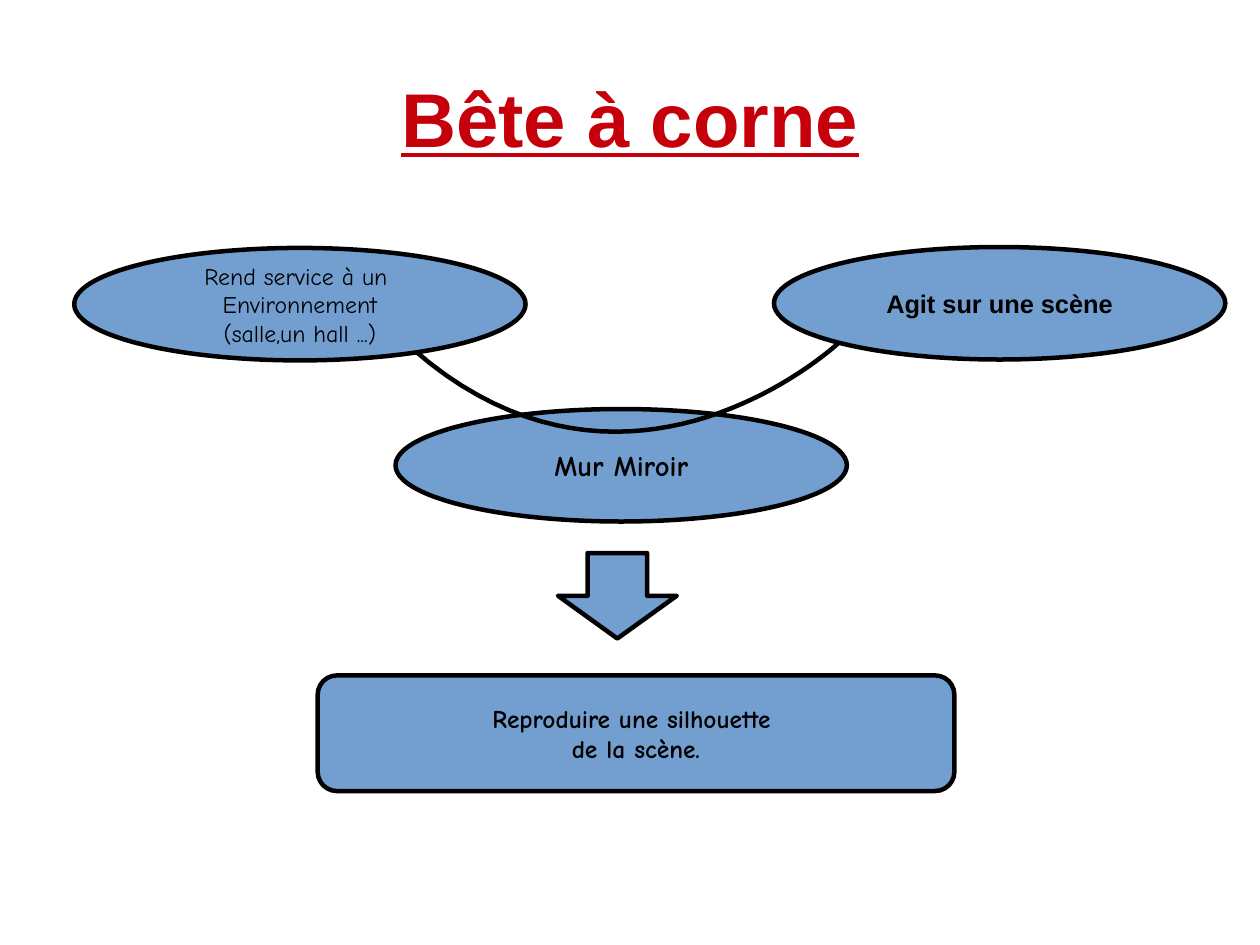
from dataclasses import dataclass

from pptx import Presentation
from pptx import util as u
from pptx.dml.color import RGBColor
from pptx.enum import shapes, text

Cm = u.Cm
Kind = shapes.MSO_SHAPE
HEX = {"title": "C5000B", "fill": "729FCF", "ink": "000000"}
STEPS = 40


@dataclass
class Node:
    kind: Kind
    box: tuple[float, float, float, float]
    lines: tuple[str, ...] = ()
    size: int = 16
    font: str = "Comic Neue"
    bold: bool = True


def shade(name: str) -> RGBColor:
    return RGBColor.from_string(HEX[name])


def write(shape, lines: tuple[str, ...], *, size: int, font: str, bold: bool = True,
          color: str = "ink", under: bool = False, wrap: bool = False,
          pad: tuple[float, float] = (0.3, 0.18)) -> None:
    frame = shape.text_frame
    frame.word_wrap = wrap
    frame.vertical_anchor = text.MSO_ANCHOR.MIDDLE
    frame.margin_left = frame.margin_right = Cm(pad[0])
    frame.margin_top = frame.margin_bottom = Cm(pad[1])
    for i, line in enumerate(lines):
        para = frame.add_paragraph() if i else frame.paragraphs[0]
        para.alignment = text.PP_ALIGN.CENTER
        run = para.add_run()
        run.text = line
        run.font.size = u.Pt(size)
        run.font.name = font
        run.font.bold = bold
        run.font.underline = under
        run.font.color.rgb = shade(color)


def outline(shape) -> None:
    shape.shadow.inherit = False
    shape.line.color.rgb = shade("ink")
    shape.line.width = u.Pt(2.83)


def draw(slide, node: Node) -> None:
    shape = slide.shapes.add_shape(node.kind, *map(Cm, node.box))
    outline(shape)
    shape.fill.solid()
    shape.fill.fore_color.rgb = shade("fill")
    if node.lines:
        write(shape, node.lines, size=node.size, font=node.font, bold=node.bold)


def arc(slide, start: tuple[float, float], bend: tuple[float, float],
        end: tuple[float, float]) -> None:
    """Draw a cubic curve whose second handle lies on its end."""
    dots = []
    for i in range(STEPS + 1):
        t = i / STEPS
        s = 1 - t
        dots.append(tuple(Cm(s**3 * a + 3 * s * s * t * b + (3 * s + t) * t * t * c)
                          for a, b, c in zip(start, bend, end)))
    pen = slide.shapes.build_freeform(*dots[0])
    pen.add_line_segments(dots[1:], close=False)
    curve = pen.convert_to_shape()
    outline(curve)
    curve.fill.background()


OVAL = (10.03, 2.5)
SCENE = Node(Kind.OVAL, (17.2, 5.49, *OVAL), ("Agit sur une scène",), font="Arial")
WALL = Node(Kind.OVAL, (8.79, 9.09, *OVAL), ("Mur Miroir",), size=18)
ARROW = Node(Kind.DOWN_ARROW, (12.4, 12.29, 2.64, 1.9))
GOAL = Node(Kind.ROUNDED_RECTANGLE, (7.06, 15.01, 14.15, 2.57),
            ("Reproduire une silhouette ", "de la scène."))
PLACE = Node(Kind.OVAL, (1.65, 5.51, *OVAL),
             ("Rend service à un ", "Environnement", "(salle,un hall ...)"),
             size=15, bold=False)


def main() -> None:
    deck = Presentation()
    deck.slide_width, deck.slide_height = Cm(28), Cm(21)
    slide = deck.slides.add_slide(deck.slide_layouts[6])

    # Title
    title = slide.shapes.add_textbox(Cm(1.4), Cm(0.84), Cm(25.2), Cm(3.51))
    write(title, ("Bête à corne",), size=48, font="Arial", color="title",
          under=True, wrap=True, pad=(0, 0))

    # Product and what it acts on, joined by the horns
    draw(slide, SCENE)
    draw(slide, WALL)
    arc(slide, (9.19, 7.77), (14, 11.96), (18.64, 7.62))

    # Purpose and user
    for node in (ARROW, GOAL, PLACE):
        draw(slide, node)

    deck.save("out.pptx")


if __name__ == "__main__":
    main()
